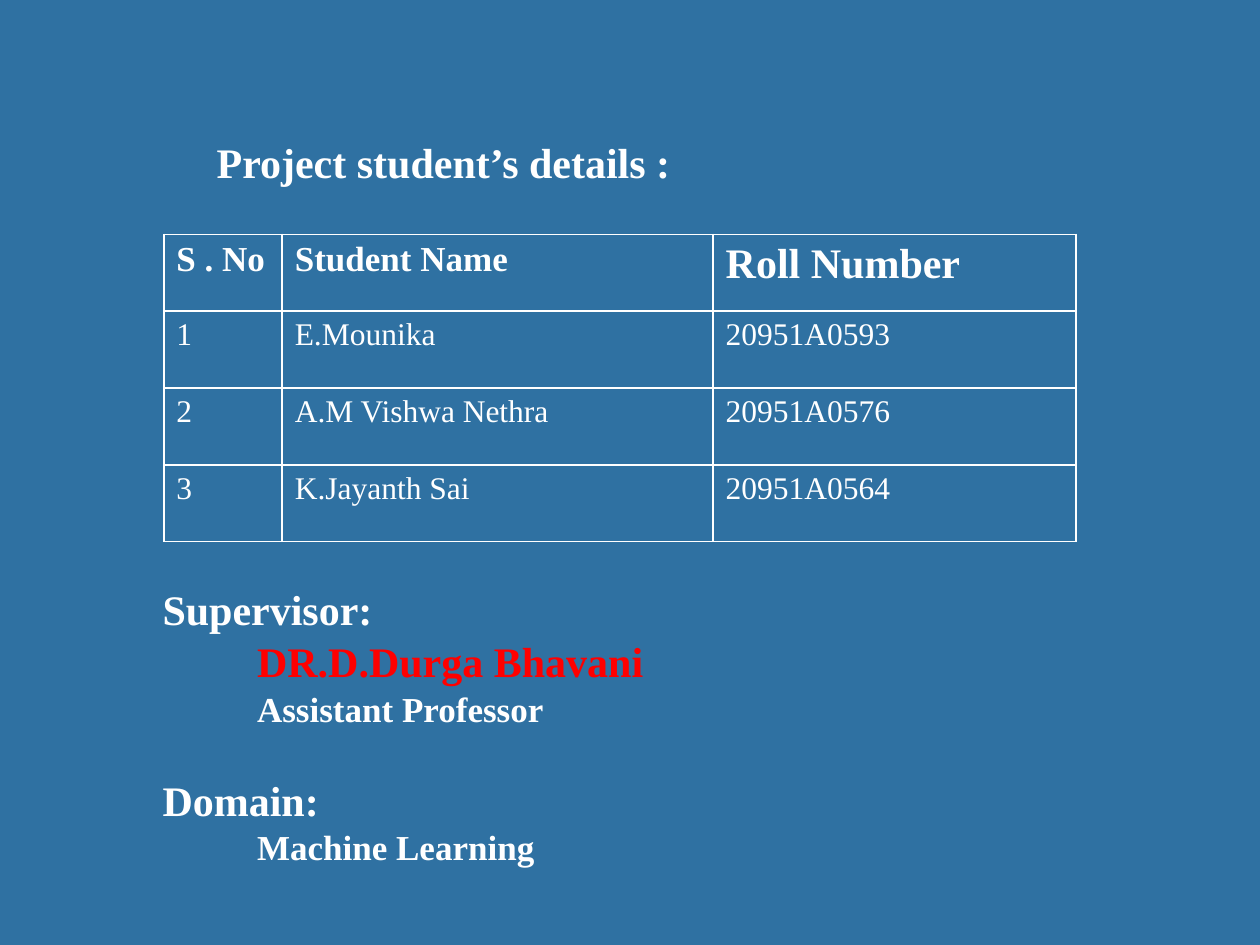
from lxml import etree
from pptx import Presentation
from pptx.dml.color import RGBColor
from pptx.enum.shapes import MSO_SHAPE as Shape
from pptx.enum.text import MSO_ANCHOR as Anchor, PP_ALIGN as Align
from pptx.oxml.ns import qn
from pptx.util import Inches, Pt

WHITE, RED, BLUE = "FFFFFF", "FF0000", "2F71A2"


def style(paragraph, size, bold, color=WHITE):
    font = paragraph.font
    font.name, font.size, font.bold = "Times New Roman", Pt(size), bold
    font.color.rgb = RGBColor.from_string(color)


def add_borders(cell):
    properties = cell._tc.get_or_add_tcPr()
    for position, side in enumerate(("lnL", "lnR", "lnT", "lnB")):
        line = etree.Element(qn(f"a:{side}"), w=str(Pt(1)))
        fill = etree.SubElement(line, qn("a:solidFill"))
        etree.SubElement(fill, qn("a:srgbClr"), val=WHITE)
        properties.insert(position, line)


prs = Presentation()
prs.slide_width, prs.slide_height = Inches(10), Inches(7.5)
slide = prs.slides.add_slide(prs.slide_layouts[6])

# Blue panel with the headings above and below the table
panel = slide.shapes.add_shape(Shape.RECTANGLE, 0, 0, prs.slide_width, prs.slide_height)
panel.shadow.inherit = False
panel.fill.solid()
panel.fill.fore_color.rgb = RGBColor.from_string(BLUE)
panel.line.fill.background()

details = panel.text_frame
details.word_wrap = True
details.vertical_anchor = Anchor.TOP
details.margin_left, details.margin_top = Inches(1.29), Inches(1.08)
details.margin_right = details.margin_bottom = Inches(0.05)

# Text, size, colour, indent in inches, space before in points
lines = [
    ("Project student’s details :", 24, WHITE, 0.43, 0),
    ("Supervisor:", 24, WHITE, 0, 227),
    ("DR.D.Durga Bhavani", 24, RED, 0.75, 1),
    ("Assistant Professor", 20, WHITE, 0.75, 1),
    ("Domain:", 24, WHITE, 0, 25.5),
    ("Machine Learning", 20, WHITE, 0.75, 0.5),
]
for i, (text, size, color, indent, gap) in enumerate(lines):
    paragraph = details.add_paragraph() if i else details.paragraphs[0]
    paragraph.text = text
    paragraph.alignment = Align.LEFT
    paragraph.space_before = Pt(gap)
    paragraph._p.get_or_add_pPr().set("marL", str(Inches(indent)))
    style(paragraph, size, True, color)

# Student table
rows = [
    ("S . No", "Student Name", "Roll Number"),
    ("1", "E.Mounika", "20951A0593"),
    ("2", "A.M Vishwa Nethra", "20951A0576"),
    ("3", "K.Jayanth Sai", "20951A0564"),
]
header_sizes = (20, 20, 24)
students = slide.shapes.add_table(
    len(rows), 3, Inches(1.3), Inches(1.86), Inches(7.24), Inches(2.44)
).table
students.first_row = students.horz_banding = False
for column, width in zip(students.columns, (0.94, 3.42, 2.88)):
    column.width = Inches(width)

for r, values in enumerate(rows):
    students.rows[r].height = Inches(0.61)
    for c, value in enumerate(values):
        cell = students.cell(r, c)
        cell.text = value
        cell.fill.background()
        add_borders(cell)
        is_header = r == 0
        style(cell.text_frame.paragraphs[0], header_sizes[c] if is_header else 18, is_header)

prs.save("out.pptx")
